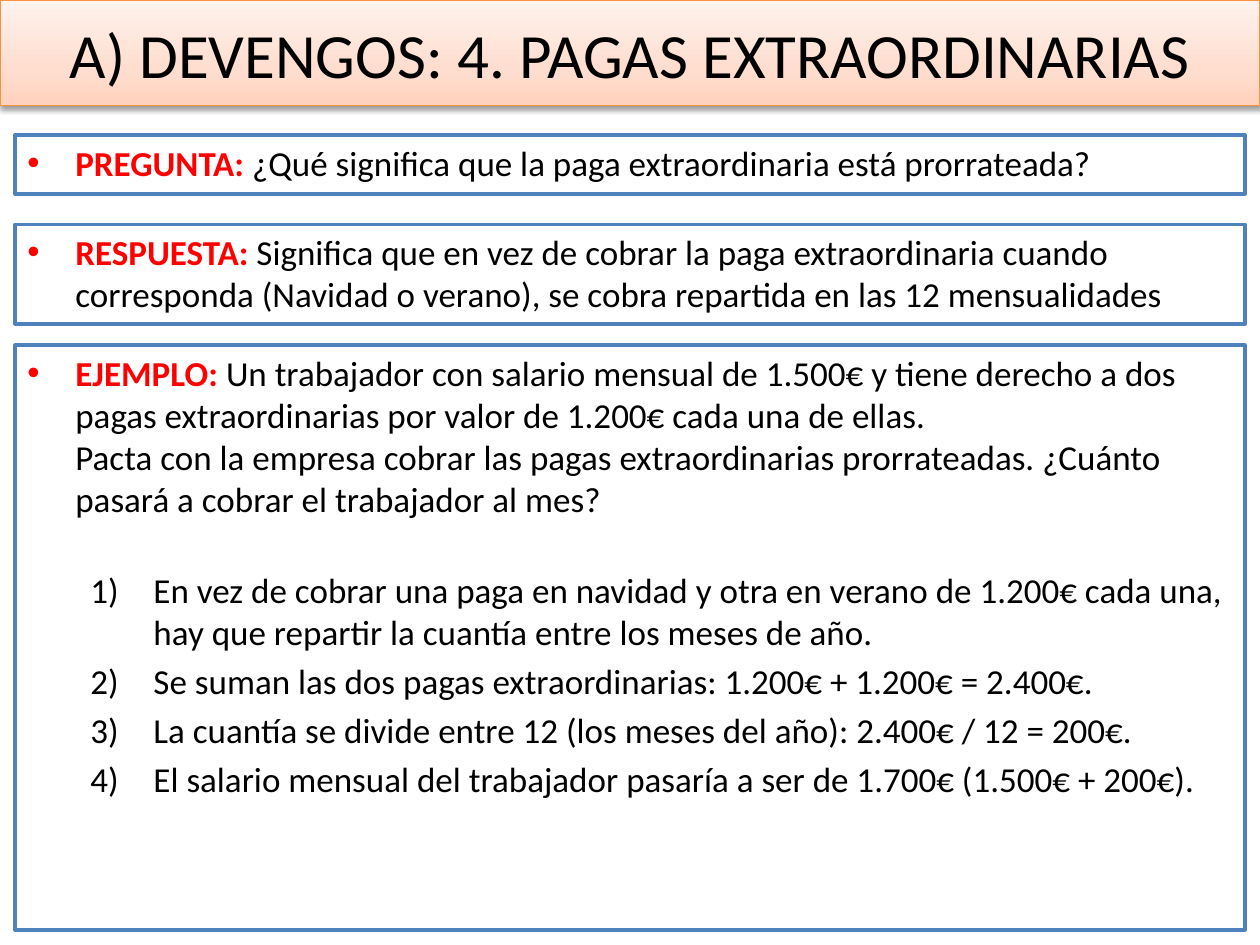
from copy import deepcopy
from dataclasses import dataclass

from lxml import etree
from pptx import Presentation
from pptx import util as u
from pptx.dml.color import RGBColor
from pptx.enum import shapes, text
from pptx.oxml.ns import qn


@dataclass(frozen=True)
class Theme:
    font: str = "Calibri"
    head: int = 36
    body: int = 20
    ink: str = "000000"
    mark: str = "FF0000"
    paper: str = "FFFFFF"
    edge: str = "4F81BD"
    rim: str = "F69240"
    glow: tuple = ((0, "FFD2BD"), (0.35, "FFDED0"), (1, "FFF2ED"))


T = Theme()
WIDE, HIGH = 10, 7.5
SIDE = 0.12
GAP = T.body * 0.2   # space between paragraphs
LINE = T.body * 1.2  # height of one line

ASK = ("PREGUNTA:", ["¿Qué significa que la paga extraordinaria está prorrateada?"])
REPLY = ("RESPUESTA:", [
    "Significa que en vez de cobrar la paga extraordinaria cuando corresponda "
    "(Navidad o verano), se cobra repartida en las 12 mensualidades"])
CASE = ("EJEMPLO:", [
    "Un trabajador con salario mensual de 1.500€ y tiene derecho a dos pagas "
    "extraordinarias por valor de 1.200€ cada una de ellas.",
    "Pacta con la empresa cobrar las pagas extraordinarias prorrateadas. "
    "¿Cuánto pasará a cobrar el trabajador al mes?"])
STEPS = [
    "En vez de cobrar una paga en navidad y otra en verano de 1.200€ cada una, "
    "hay que repartir la cuantía entre los meses de año.",
    "Se suman las dos pagas extraordinarias: 1.200€ + 1.200€ = 2.400€.",
    "La cuantía se divide entre 12 (los meses del año): 2.400€ / 12 = 200€.",
    "El salario mensual del trabajador pasaría a ser de 1.700€ (1.500€ + 200€).",
]


def rgb(code):
    return RGBColor.from_string(code)


def panel(slide, box, edge, width):
    """Add a plain outlined rectangle."""
    rect = slide.shapes.add_shape(
        shapes.MSO_SHAPE.RECTANGLE, *(u.Inches(n) for n in box))
    rect.fill.solid()
    rect.fill.fore_color.rgb = rgb(T.paper)
    rect.line.color.rgb = rgb(edge)
    rect.line.width = u.Pt(width)
    rect.shadow.inherit = False
    rect.text_frame.word_wrap = True
    return rect


def style(para, size):
    font = para.font
    font.name, font.size = T.font, u.Pt(size)
    font.color.rgb = rgb(T.ink)


def bullet(para, left, hang, tag, color, **sign):
    """Give a paragraph a hanging bullet or number."""
    props = para._p.get_or_add_pPr()
    props.set("marL", str(u.Inches(left)))
    props.set("indent", str(-u.Inches(hang)))
    tint = etree.SubElement(props, qn("a:buClr"))
    etree.SubElement(tint, qn("a:srgbClr"), val=color)
    if tag == "a:buChar":
        etree.SubElement(props, qn("a:buFont"), typeface="Arial")
    etree.SubElement(props, qn(tag), **sign)
    para.alignment = text.PP_ALIGN.LEFT
    style(para, T.body)


def banner(slide, box, title):
    """Title band with a gradient and a soft shadow."""
    band = panel(slide, box, T.rim, 0.75)
    band.fill.gradient()
    band.fill.gradient_angle = 90
    stops = band._element.spPr.find(".//" + qn("a:gsLst"))
    stops.append(deepcopy(stops[0]))
    for stop, (place, color) in zip(band.fill.gradient_stops, T.glow):
        stop.position = place
        stop.color.rgb = rgb(color)

    effects = band._element.spPr.find(qn("a:effectLst"))
    shade = etree.SubElement(
        effects, qn("a:outerShdw"), blurRad=str(u.Pt(3.1)),
        dist=str(u.Pt(1.6)), dir="5400000", rotWithShape="0")
    tint = etree.SubElement(shade, qn("a:srgbClr"), val=T.ink)
    etree.SubElement(tint, qn("a:alpha"), val="38000")

    frame = band.text_frame
    frame.vertical_anchor = text.MSO_ANCHOR.MIDDLE
    para = frame.paragraphs[0]
    para.text = title
    para.alignment = text.PP_ALIGN.CENTER
    style(para, T.head)


def card(slide, box, entry, steps=()):
    """Labelled text, with numbered steps below if given."""
    label, lines = entry
    frame = panel(slide, box, T.edge, 2).text_frame
    frame.vertical_anchor = text.MSO_ANCHOR.TOP
    para = frame.paragraphs[0]
    bullet(para, 0.38, 0.38, "a:buChar", T.mark, char="•")
    run = para.add_run()
    run.text = label + " "
    run.font.bold = True
    run.font.color.rgb = rgb(T.mark)
    for i, line in enumerate(lines):
        if i:
            para.add_line_break()
        para.add_run().text = line

    # Numbered steps, one line below the label text
    for i, step in enumerate(steps):
        para = frame.add_paragraph()
        para.text = step
        para.level = 1
        para.space_before = u.Pt(GAP if i else GAP + LINE)
        bullet(para, 1, 0.5, "a:buAutoNum", T.ink, type="arabicParenR")


def main():
    deck = Presentation()
    deck.slide_width, deck.slide_height = u.Inches(WIDE), u.Inches(HIGH)
    slide = deck.slides.add_slide(deck.slide_layouts[6])
    span = WIDE - 2 * SIDE

    banner(slide, (0, 0, WIDE, 0.84), "A) DEVENGOS: 4. PAGAS EXTRAORDINARIAS")
    card(slide, (SIDE, 1.07, span, 0.47), ASK)
    card(slide, (SIDE, 1.78, span, 0.79), REPLY)
    card(slide, (SIDE, 2.74, span, HIGH - SIDE - 2.74), CASE, STEPS)
    deck.save("out.pptx")


if __name__ == "__main__":
    main()
